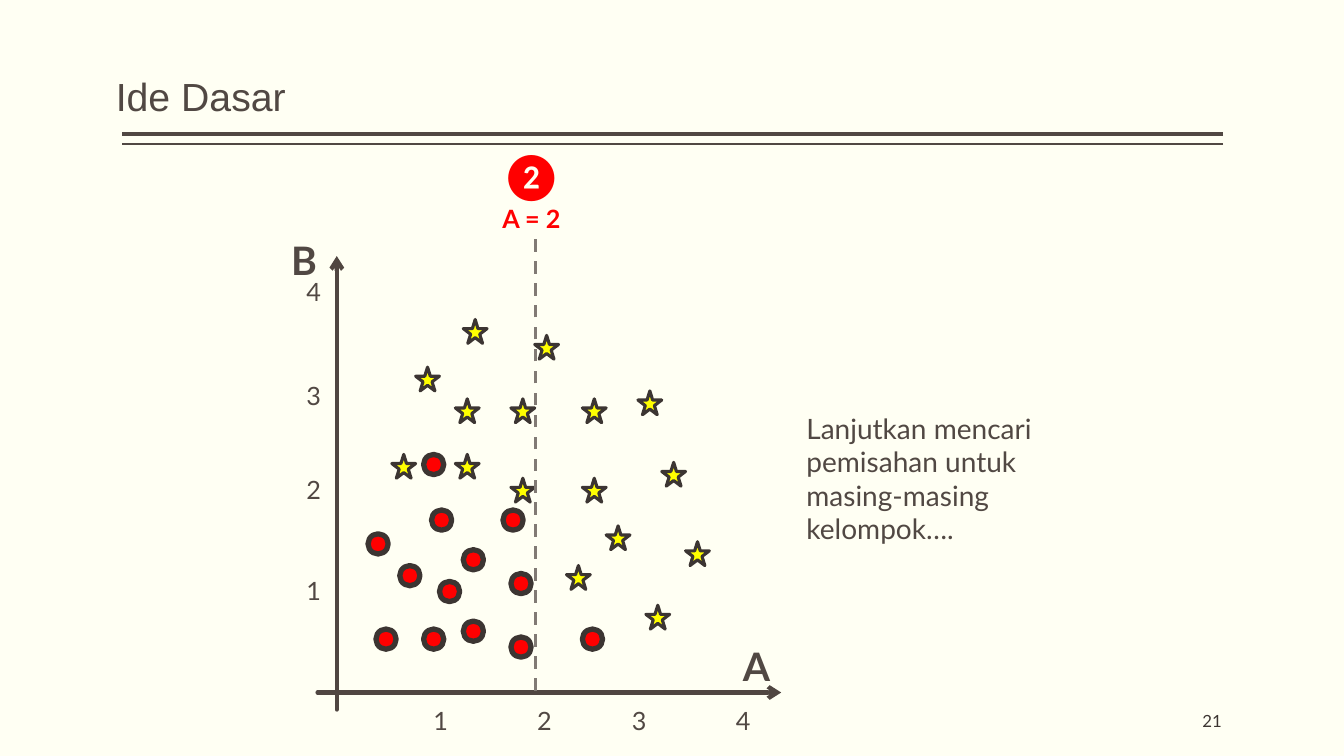
from pptx import Presentation
from pptx.dml.color import RGBColor
from pptx.enum.dml import MSO_LINE
from pptx.enum.shapes import MSO_CONNECTOR, MSO_SHAPE
from pptx.enum.text import MSO_ANCHOR, PP_ALIGN
from pptx.oxml.ns import qn
from pptx.util import Inches, Mm, Pt
from lxml.etree import SubElement

THEME = {
    "background": RGBColor.from_string("FFFFF3"),
    "text": RGBColor.from_string("514843"),
    "page": RGBColor.from_string("3D3632"),
    "axis": RGBColor.from_string("504641"),
    "outline": RGBColor.from_string("3C3532"),
    "split": RGBColor.from_string("817A74"),
    "red": RGBColor.from_string("FF0000"),
    "yellow": RGBColor.from_string("FFFF00"),
    "title_font": "Arial",
    "body_font": "Lato",
    "number_size": 32,
    "title_size": 28,
    "note_size": 20,
    "label_size": 18,
    "page_size": 12,
}
CELL = Mm(2)

presentation = Presentation()
presentation.slide_width = Inches(13.33)
presentation.slide_height = Inches(7.5)
slide = presentation.slides.add_slide(presentation.slide_layouts[6])
slide.background.fill.solid()
slide.background.fill.fore_color.rgb = THEME["background"]


def add_text(box, lines, color="text", font="body_font", align=PP_ALIGN.LEFT, **frame_format):
    column, row, columns, rows = box
    shape = slide.shapes.add_textbox(
        int(column * CELL), int(row * CELL), int(columns * CELL), int(rows * CELL))
    frame = shape.text_frame
    for name, value in {"word_wrap": True, **frame_format}.items():
        setattr(frame, name, value)
    for index, (text, size, bold) in enumerate(lines):
        paragraph = frame.paragraphs[0] if index == 0 else frame.add_paragraph()
        paragraph.alignment = align
        run = paragraph.add_run()
        run.text = text
        run.font.color.rgb = THEME[color]
        values = {"name": THEME[font], "size": Pt(THEME[size]), "bold": bold}
        for name, value in values.items():
            setattr(run.font, name, value)
    return frame


def add_line(ends, color, width, dash=None, arrow=False):
    connector = slide.shapes.add_connector(
        MSO_CONNECTOR.STRAIGHT, *[int(end * CELL) for end in ends])
    connector.line.color.rgb = THEME[color]
    connector.line.width = Pt(width)
    if dash:
        connector.line.dash_style = dash
    if arrow:
        outline = connector.line._get_or_add_ln()
        outline.set("cap", "rnd")
        SubElement(outline, qn("a:round"))
        SubElement(outline, qn("a:tailEnd"), type="arrow")
    SubElement(connector._element.spPr, qn("a:effectLst"))


for row, width in [(16.89, 3), (18.16, 1)]:
    add_line((154.05, row, 15.37, row), "text", width)

title = add_text((14.6, 5.2, 109.5, 10.5), [("Ide Dasar", "title_size", False)],
                 font="title_font", vertical_anchor=MSO_ANCHOR.BOTTOM,
                 margin_left=0, margin_right=0)
title.paragraphs[0].line_spacing = 0.9
add_text((128.5, 88.27, 25.4, 5.08), [("21", "page_size", False)], color="page",
         align=PP_ALIGN.RIGHT, vertical_anchor=MSO_ANCHOR.MIDDLE,
         margin_left=0, margin_right=0)
add_text((100.33, 51.18, 40, 18.4),
         [("Lanjutkan mencari pemisahan untuk masing-masing kelompok….", "note_size", False)])

add_line((42.42, 89.4, 42.42, 32.26), "axis", 3, arrow=True)
add_line((40, 87.25, 98.4, 87.25), "axis", 3, arrow=True)

tick_columns = [53.34, 66.4, 78.36, 91.44]
tick_rows = [71.9, 59.2, 47.24, 34.16]
for number, (column, row) in enumerate(zip(tick_columns, tick_rows), 1):
    for left, top in [(37.34, row), (column, 88.27)]:
        add_text((left, top, 3.05, 5.08), [(str(number), "label_size", False)])

stars = [(12, 0), (6, 6), (18, 10), (21, 2), (34, 9), (18, 20), (27, 10), (30, 26),
         (27, 20), (37, 18), (25, 31), (40, 28), (11, 17), (3, 17), (11, 10), (35, 36)]
circles = [(8, 24), (17, 24), (12, 29), (4, 31), (12, 38), (18, 32), (9, 33),
           (27, 39), (18, 40), (7, 17), (0, 27), (7, 39), (1, 39)]
plot_left, plot_top = 46.36, 40.26
for points, kind, size, color, width in [
    (stars, MSO_SHAPE.STAR_5_POINT, 3, "yellow", 2.25),
    (circles, MSO_SHAPE.FLOWCHART_CONNECTOR, 2.54, "red", 3.78),
]:
    for column, row in points:
        shape = slide.shapes.add_shape(
            kind, int((plot_left + column) * CELL), int((plot_top + row) * CELL),
            int(size * CELL), int(size * CELL))
        shape.shadow.inherit = False
        shape.fill.solid()
        shape.fill.fore_color.rgb = THEME[color]
        shape.line.color.rgb = THEME["outline"]
        shape.line.width = Pt(width)

for name, column, row in [("B", 35.43, 29.2), ("A", 92.33, 80.26)]:
    add_text((column, row, 5.97, 7.24), [(name, "title_size", True)])

add_line((67.44, 87, 67.44, 29.85), "split", 2.25, dash=MSO_LINE.DASH)
add_text((59.44, 18.16, 15, 11.94),
         [("❷", "number_size", False), ("A = 2", "label_size", True)],
         color="red", align=PP_ALIGN.CENTER)

presentation.save("out.pptx")
